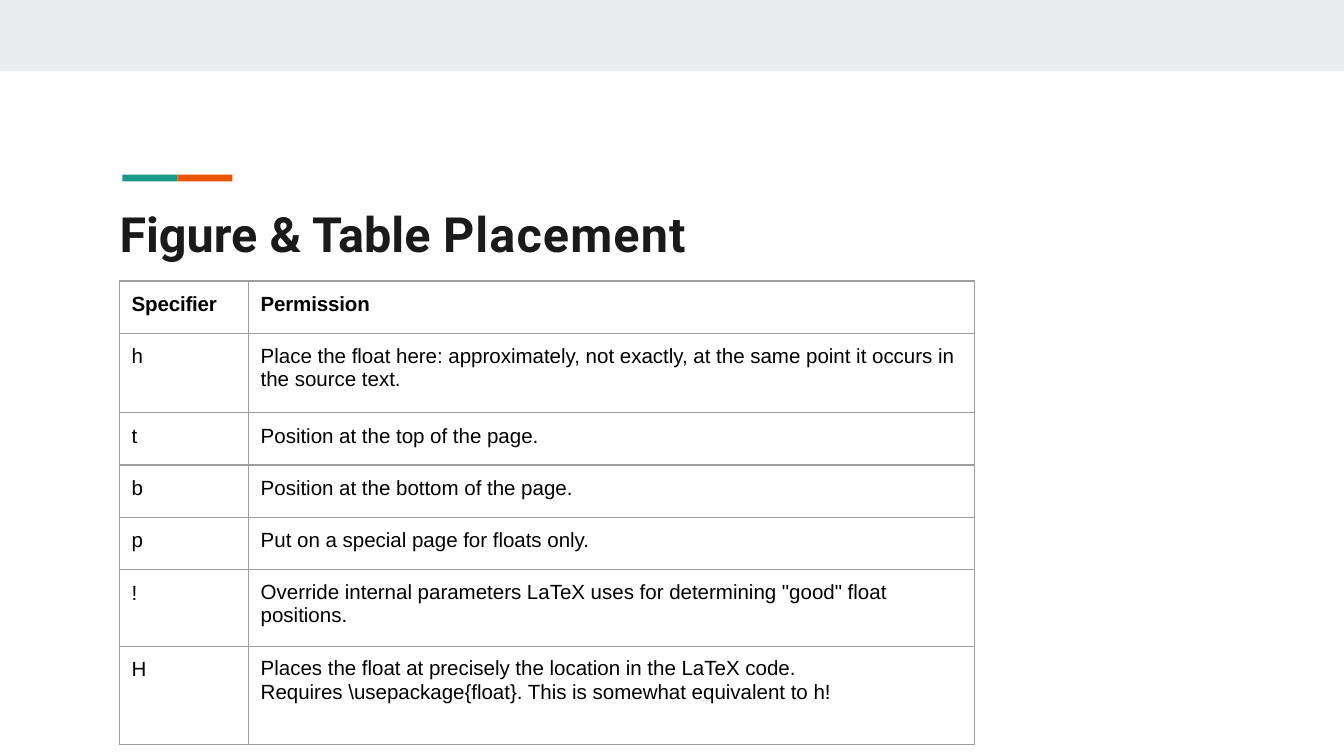
import pptx
import pptx.util
import pptx.dml.color
import pptx.enum.shapes
import pptx.enum.text
import pptx.oxml
import pptx.oxml.ns

Inches, Pt = pptx.util.Inches, pptx.util.Pt
RGBColor = pptx.dml.color.RGBColor

BAND = RGBColor(0xE9, 0xED, 0xEE)
ORANGE = RGBColor(0xEB, 0x55, 0x00)
TEAL = RGBColor(0x1A, 0x99, 0x88)
INK = RGBColor(0x1A, 0x1A, 0x1A)
BLACK = RGBColor(0, 0, 0)
GRID = "9E9E9E"

# Text and letter spacing in points
TITLE = [("Figure & Table ", 0), ("Placement", 0.6)]

# Left, top, width, height, fill
BARS = [
    (0, 0, 10, 0.53, BAND),
    (1.32, 1.3, 0.41, 0.05, ORANGE),
    (0.91, 1.3, 0.41, 0.05, TEAL),
]

# Specifier, permission, row height, right margin of the permission
ROWS = [
    ("Specifier", "Permission", 0.39, 0),
    ("h", "Place the float here: approximately, not exactly, at the same point "
          "it occurs in the source text.", 0.59, 0.1),
    ("t", "Position at the top of the page.", 0.39, 0),
    ("b", "Position at the bottom of the page.", 0.39, 0),
    ("p", "Put on a special page for floats only.", 0.39, 0),
    ("!", 'Override internal parameters LaTeX uses for determining "good" float '
          "positions.", 0.57, 0.3),
    ("H", "Places the float at precisely the location in the LaTeX code. "
          "Requires \\usepackage{float}. This is somewhat equivalent to h!", 0.73, 1),
]
COLUMNS = [0.96, 5.4]


def add_run(paragraph, text, spacing, color, **font_values):
    run = paragraph.add_run()
    run.text = text
    for key, value in font_values.items():
        setattr(run.font, key, value)
    run.font.color.rgb = color
    run.font._element.set("spc", str(round(spacing * 100)))


def add_borders(cell):
    properties = cell._tc.get_or_add_tcPr()
    for position, side in enumerate(("lnL", "lnR", "lnT", "lnB")):
        properties.insert(position, pptx.oxml.parse_xml(
            f'<a:{side} {pptx.oxml.ns.nsdecls("a")} w="{Pt(0.75)}"><a:solidFill>'
            f'<a:srgbClr val="{GRID}"/></a:solidFill></a:{side}>'))


def fill_cell(cell, text, bold, right_margin):
    wrapped = right_margin > 0
    margins = {"margin_left": 0.09, "margin_right": right_margin,
               "margin_top": 0.08 if wrapped else 0.09, "margin_bottom": 0}
    for key, value in margins.items():
        setattr(cell, key, Inches(value))
    cell.fill.background()
    paragraph = cell.text_frame.paragraphs[0]
    paragraph.space_before = Pt(6 if wrapped else 6.3)
    if wrapped:
        paragraph.line_spacing = 1.02
    add_run(paragraph, text, -0.1 if bold else -0.03, BLACK,
            name="Arial", size=Pt(11), bold=bold)
    add_borders(cell)


presentation = pptx.Presentation()
presentation.slide_width = Inches(10)
presentation.slide_height = presentation.slide_width * 9 // 16
slide = presentation.slides.add_slide(presentation.slide_layouts[6])

for *box, color in BARS:
    bar = slide.shapes.add_shape(
        pptx.enum.shapes.MSO_SHAPE.RECTANGLE, *map(Inches, box))
    bar.shadow.inherit = False
    bar.fill.solid()
    bar.fill.fore_color.rgb = color
    bar.line.fill.background()

title = slide.shapes.add_textbox(*map(Inches, (0.88, 1.51, 4.47, 0.46))).text_frame
title_format = {
    "word_wrap": True, "margin_left": Inches(0.01), "margin_top": Inches(0.01),
    "margin_right": 0, "margin_bottom": 0,
    "vertical_anchor": pptx.enum.text.MSO_ANCHOR.TOP,
}
for key, value in title_format.items():
    setattr(title, key, value)
title.paragraphs[0].space_before = Pt(1)
for text, spacing in TITLE:
    add_run(title.paragraphs[0], text, spacing, INK,
            name="Roboto", size=Pt(26), bold=True)

table = slide.shapes.add_table(
    len(ROWS), len(COLUMNS), Inches(0.89), Inches(2.09),
    Inches(sum(COLUMNS)), Inches(sum(row[2] for row in ROWS))).table
for column, width in zip(table.columns, COLUMNS):
    column.width = Inches(width)
for index, (specifier, permission, height, right_margin) in enumerate(ROWS):
    table.rows[index].height = Inches(height)
    fill_cell(table.cell(index, 0), specifier, index == 0, 0)
    fill_cell(table.cell(index, 1), permission, index == 0, right_margin)

presentation.save("out.pptx")
